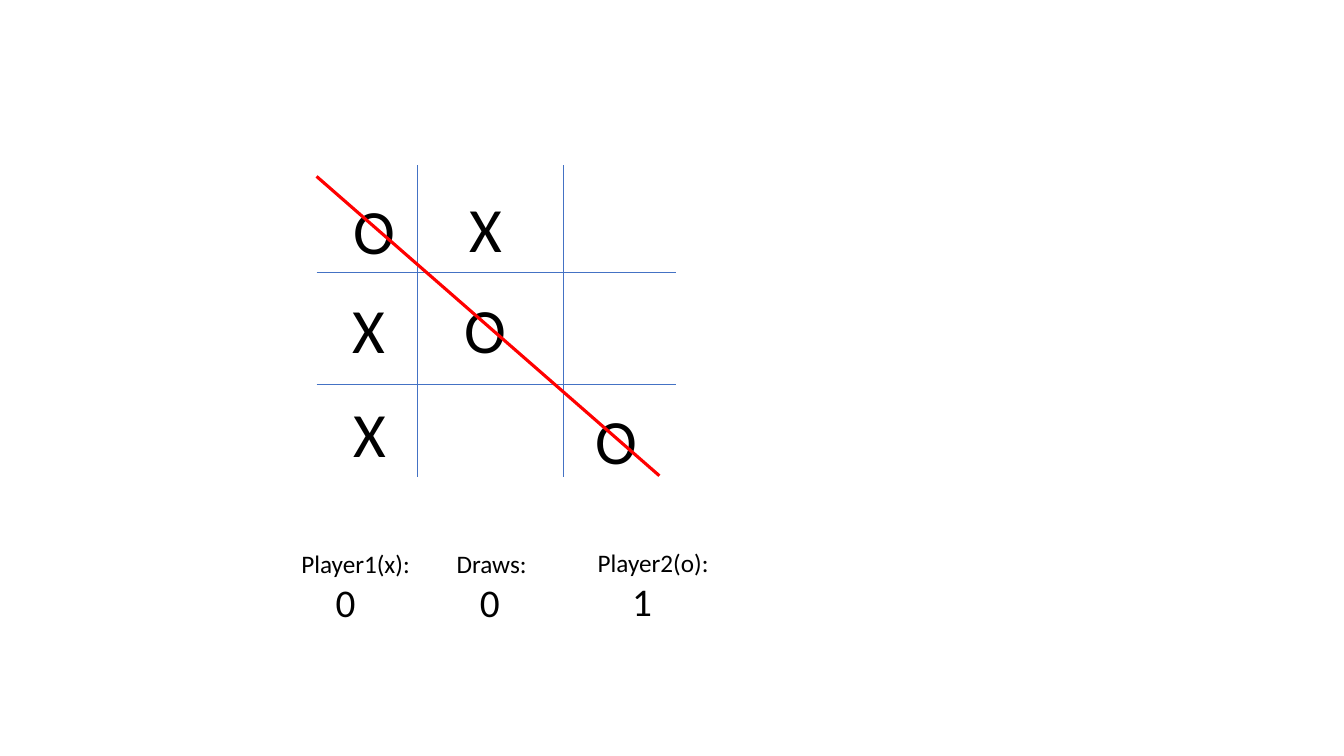
from lxml import etree
from pptx import Presentation
from pptx.dml.color import RGBColor
from pptx.enum.shapes import MSO_CONNECTOR
from pptx.enum.text import MSO_AUTO_SIZE
from pptx.oxml.ns import qn
from pptx.util import Inches, Pt

BLUE = RGBColor(0x44, 0x72, 0xC4)
RED = RGBColor(0xFF, 0x00, 0x00)
BLACK = RGBColor(0x00, 0x00, 0x00)
FONT = "Calibri"

BOARD_BOX = (3.14, 1.64, 3.56, 3.09)
COLUMN_LINES = (1.0, 2.45)
ROW_LINES = (1.06, 2.17)
WINNING_LINE = (0, 0.11, 3.4, 3.08)
# Each mark with its offset from the board's top left corner
MARKS = (
    ("O", 0.27, 0.21), ("X", 1.42, 0.19),
    ("X", 0.26, 1.19), ("O", 1.37, 1.19),
    ("X", 0.27, 2.22), ("O", 2.67, 2.29),
)
MARK_SIZE = (0.73, 0.86)

SCORE_SIZE = (1.35, 0.88)
# Label, label indent, score, left, top
SCORES = (
    ("Player1(x):", 0, "0", 2.89, 5.39),
    ("Draws:", 0.11, "0", 4.32, 5.39),
    ("Player2(o):", 0, "1", 5.83, 5.38),
)
SCORE_INDENT = 0.34


def add_line(page, x1, y1, x2, y2, color, width):
    """Draw a straight line without a shadow."""
    line = page.shapes.add_connector(
        MSO_CONNECTOR.STRAIGHT, Inches(x1), Inches(y1), Inches(x2), Inches(y2))
    line.line.color.rgb = color
    line.line.width = Pt(width)
    etree.SubElement(line.element.spPr, qn("a:effectLst"))


def add_text(page, box, lines):
    """Add a text box; each line is (text, point size, left indent)."""
    frame = page.shapes.add_textbox(*map(Inches, box)).text_frame
    frame.word_wrap = True
    frame.auto_size = MSO_AUTO_SIZE.SHAPE_TO_FIT_TEXT
    for index, (text, size, indent) in enumerate(lines):
        para = frame.add_paragraph() if index else frame.paragraphs[0]
        para.text = text
        para.font.name = FONT
        para.font.size = Pt(size)
        para.font.color.rgb = BLACK
        if indent:
            para._p.get_or_add_pPr().set("marL", str(Inches(indent)))


def add_board(page, box):
    """Draw the grid, the marks and the winning diagonal."""
    left, top, width, height = box
    for x in COLUMN_LINES:
        add_line(page, left + x, top, left + x, top + height, BLUE, 0.5)
    for y in ROW_LINES:
        add_line(page, left, top + y, left + width, top + y, BLUE, 0.5)
    for mark, x, y in MARKS:
        add_text(page, (left + x, top + y, *MARK_SIZE), [(mark, 45, 0)])
    x1, y1, x2, y2 = WINNING_LINE
    add_line(page, left + x1, top + y1, left + x2, top + y2, RED, 2.25)


def add_score(page, box, label, label_indent, score):
    """Write a label with its score below."""
    add_text(page, box, [(label, 18, label_indent), (score, 28, SCORE_INDENT)])


deck = Presentation()
deck.slide_width = Inches(13.33)
deck.slide_height = Inches(7.5)
page = deck.slides.add_slide(deck.slide_layouts[6])
add_board(page, BOARD_BOX)
for label, label_indent, score, left, top in SCORES:
    add_score(page, (left, top, *SCORE_SIZE), label, label_indent, score)
deck.save("out.pptx")
